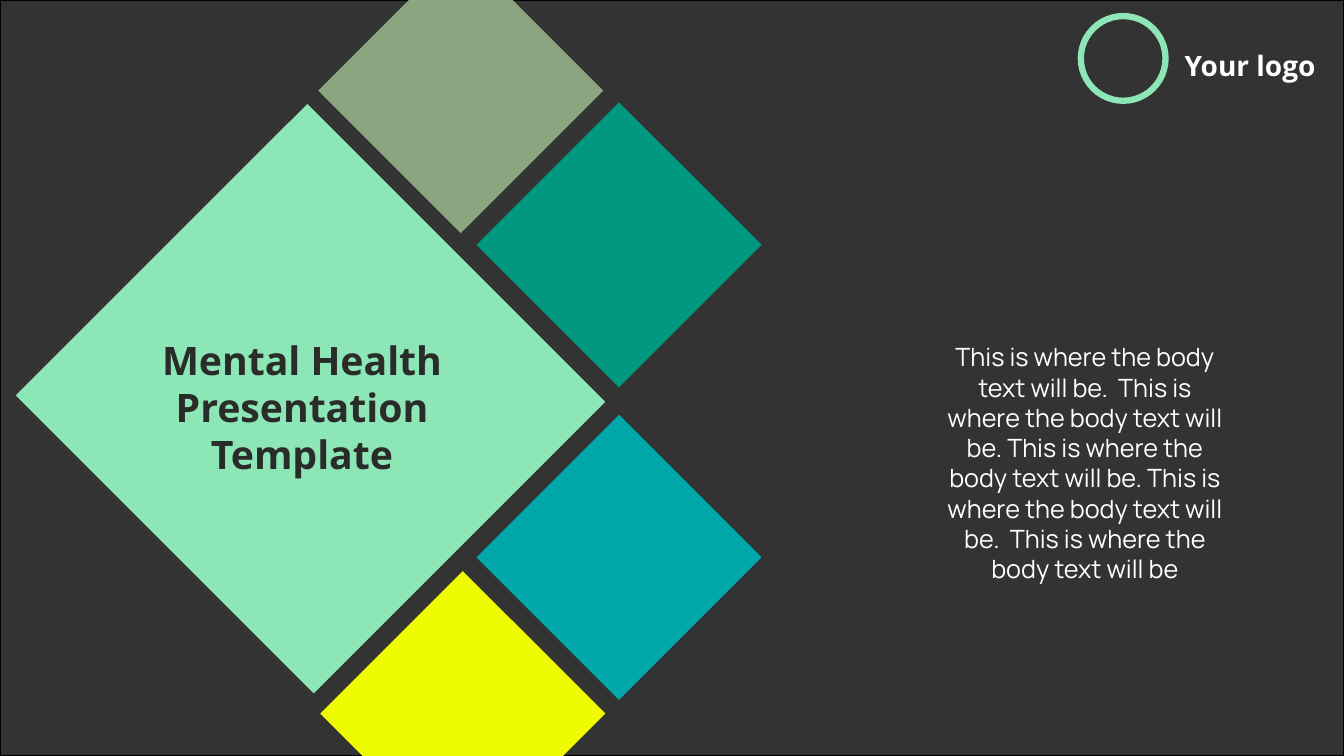
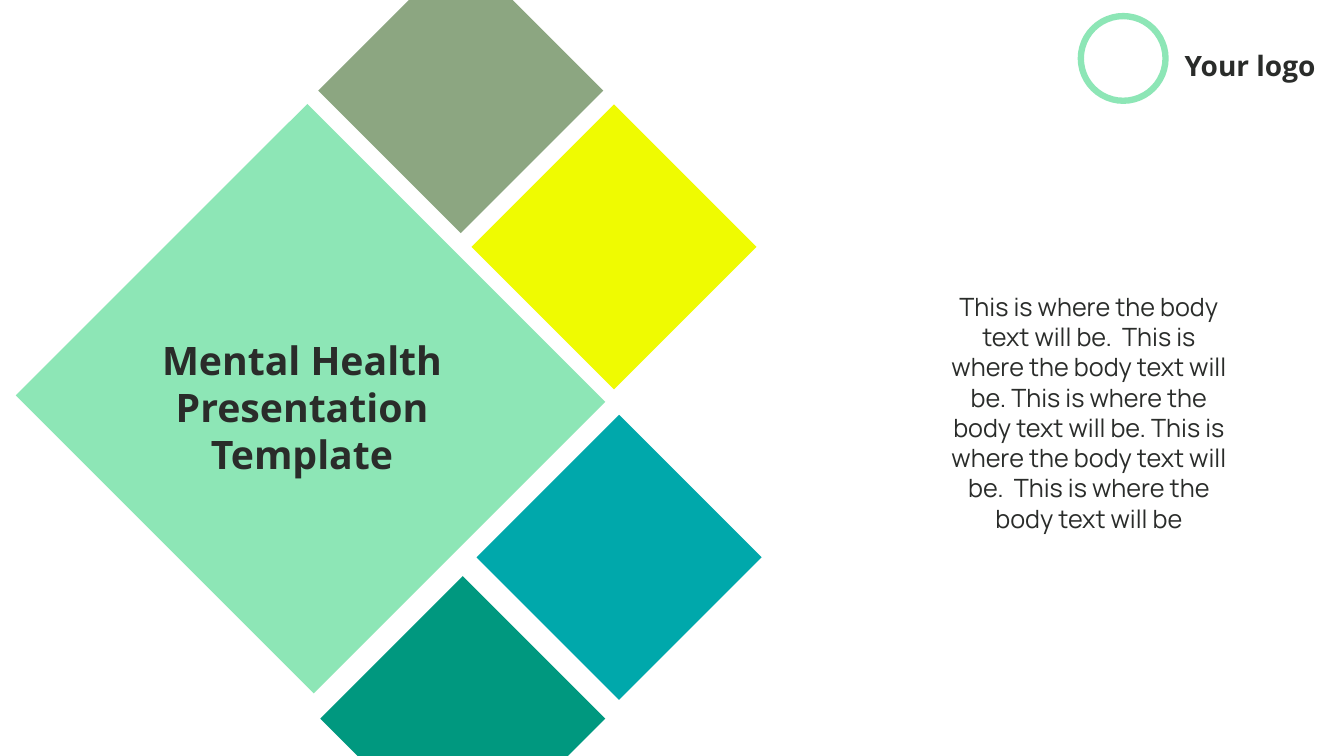
from lxml import etree
from pptx import Presentation
from pptx.dml.color import RGBColor
from pptx.enum.shapes import MSO_SHAPE
from pptx.enum.text import MSO_AUTO_SIZE, PP_ALIGN
from pptx.oxml.ns import qn
from pptx.util import Inches, Pt

RECT, OVAL = MSO_SHAPE.RECTANGLE, MSO_SHAPE.OVAL
LEFT, CENTER = PP_ALIGN.LEFT, PP_ALIGN.CENTER
GROW = MSO_AUTO_SIZE.SHAPE_TO_FIT_TEXT

BLACK = RGBColor(0x00, 0x00, 0x00)
WHITE = RGBColor(0xFF, 0xFF, 0xFF)
INK = RGBColor(0x2A, 0x2C, 0x2A)
MINT = RGBColor(0x8D, 0xE6, 0xB6)
SAGE = RGBColor(0x8C, 0xA6, 0x81)
GREEN = RGBColor(0x00, 0x98, 0x7F)
TEAL = RGBColor(0x00, 0xA8, 0xAB)
YELLOW = RGBColor(0xEF, 0xFB, 0x01)

TITLE = "Mental Health Presentation Template"
BODY = ("This is where the body text will be.  This is where the body text will be. "
        "This is where the body text will be. This is where the body text will be.  "
        "This is where the body text will be")
HEAD = {"name": "Open Sans", "bold": True}
PLAIN = {"name": "Manrope", "bold": False}
SIDE = 2  # edge of a small diamond


def add_shape(slide, kind, box, fill=None, line=None, width=1, turn=0):
    shape = slide.shapes.add_shape(kind, *map(Inches, box))
    shape.shadow.inherit = False
    shape.rotation = turn
    if fill is None:
        shape.fill.background()
    else:
        shape.fill.solid()
        shape.fill.fore_color.rgb = fill
    if line is None:
        shape.line.fill.background()
    else:
        shape.line.color.rgb = line
        shape.line.width = Pt(width)
    return shape


def add_text(slide, box, text, style, size, color, align=CENTER):
    frame = slide.shapes.add_textbox(*map(Inches, box)).text_frame
    frame.word_wrap = True
    frame.auto_size = GROW
    para = frame.paragraphs[0]
    para.alignment = align
    run = para.add_run()
    run.text = text
    for key, value in style.items():
        setattr(run.font, key, value)
    run.font.size = Pt(size)
    run.font.color.rgb = color


deck = Presentation()
deck.slide_width, deck.slide_height = Inches(13.33), Inches(7.5)

# Per slide: dark or not, text colour, body corner, small diamonds (left, top, fill)
SLIDES = [
    (True, WHITE, (9.29, 3.34),
     [(3.57, -0.1, SAGE), (5.14, 1.43, GREEN), (5.14, 4.53, TEAL), (3.59, 6.08, YELLOW)]),
    (False, INK, (9.33, 2.84),
     [(3.57, -0.1, SAGE), (5.09, 1.45, YELLOW), (5.14, 4.53, TEAL), (3.59, 6.13, GREEN)]),
]

for dark, color, corner, tiles in SLIDES:
    slide = deck.slides.add_slide(deck.slide_layouts[6])
    slide.background.fill.solid()
    slide.background.fill.fore_color.rgb = WHITE
    if dark:
        veil = add_shape(slide, RECT, (0, 0, 13.33, 7.5), BLACK, BLACK)
        tint = veil.fill._xPr.find(qn("a:solidFill"))[0]
        etree.SubElement(tint, qn("a:alpha")).set("val", "80000")

    add_shape(slide, RECT, (0.99, 1.91, 4.18, 4.09), MINT, turn=45)
    for left, top, fill in tiles:
        add_shape(slide, RECT, (left, top, SIDE, SIDE), fill, turn=45)

    add_text(slide, (*corner, 2.94, 2.83), BODY, PLAIN, 18, color)
    add_text(slide, (1.15, 3.29, 3.69, 1.51), TITLE, HEAD, 28, INK)

    add_shape(slide, OVAL, (10.72, 0.16, 0.84, 0.84), line=MINT, width=4.5)
    add_text(slide, (11.65, 0.43, 1.68, 0.44), "Your logo", HEAD, 20, color, LEFT)

deck.save("out.pptx")
